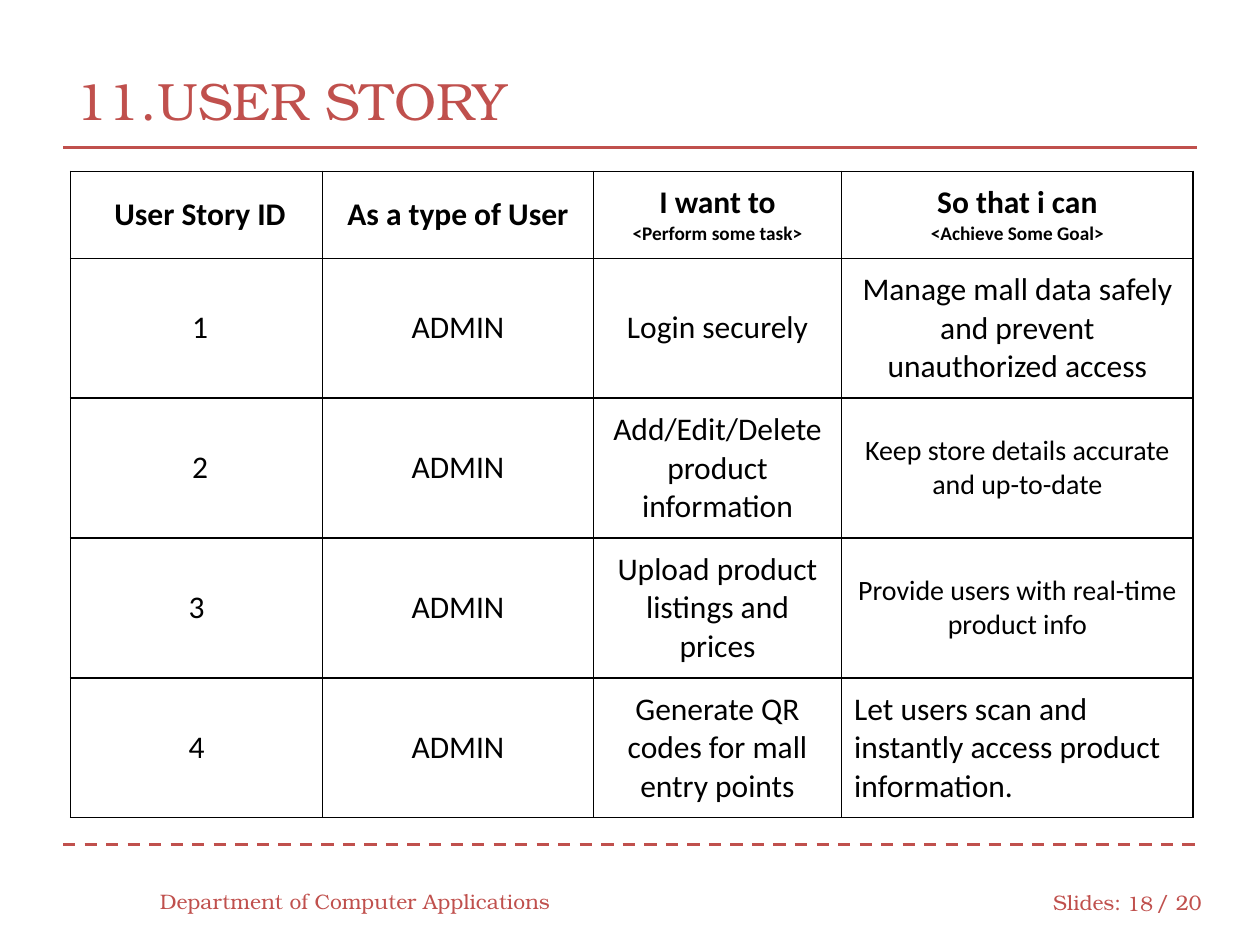
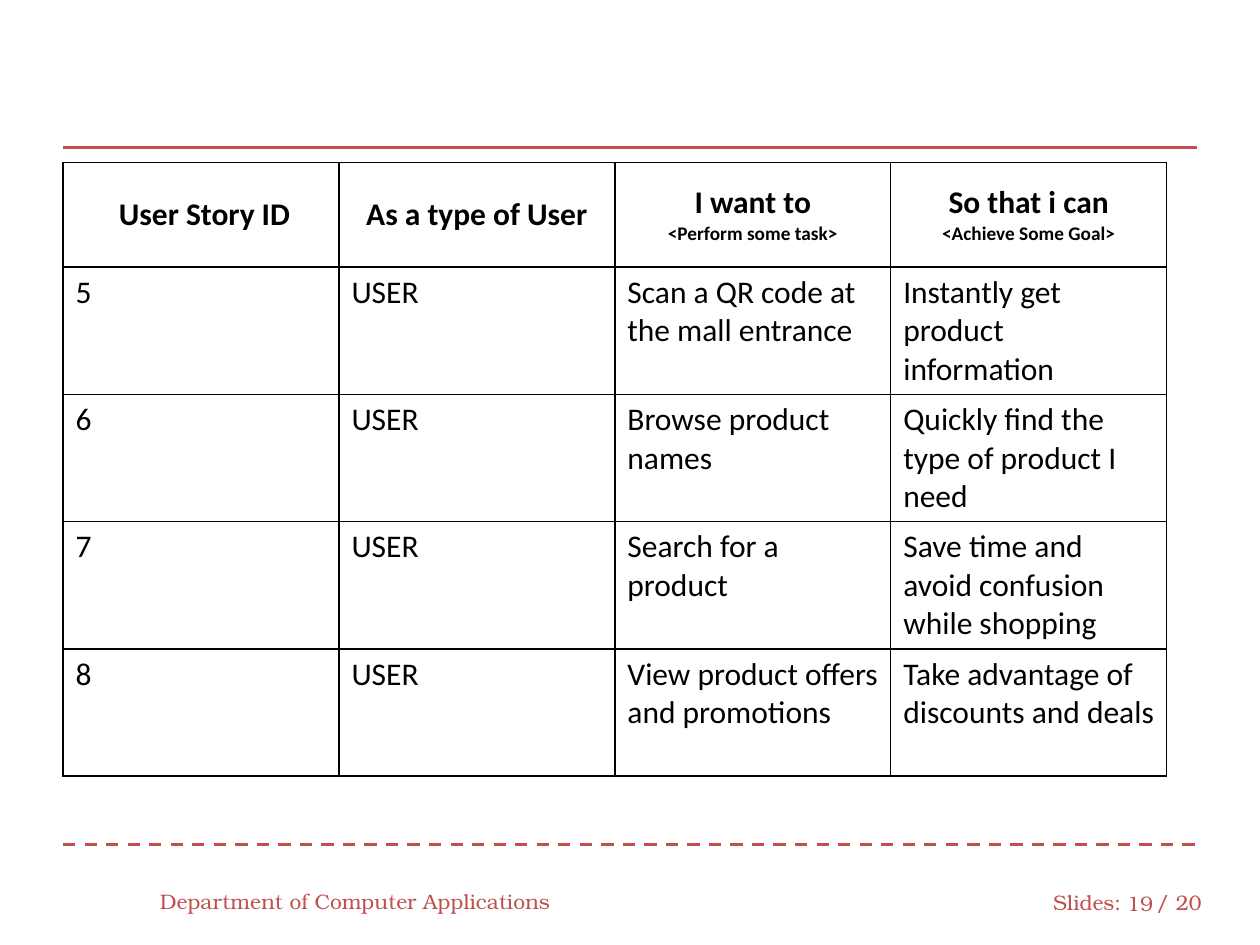
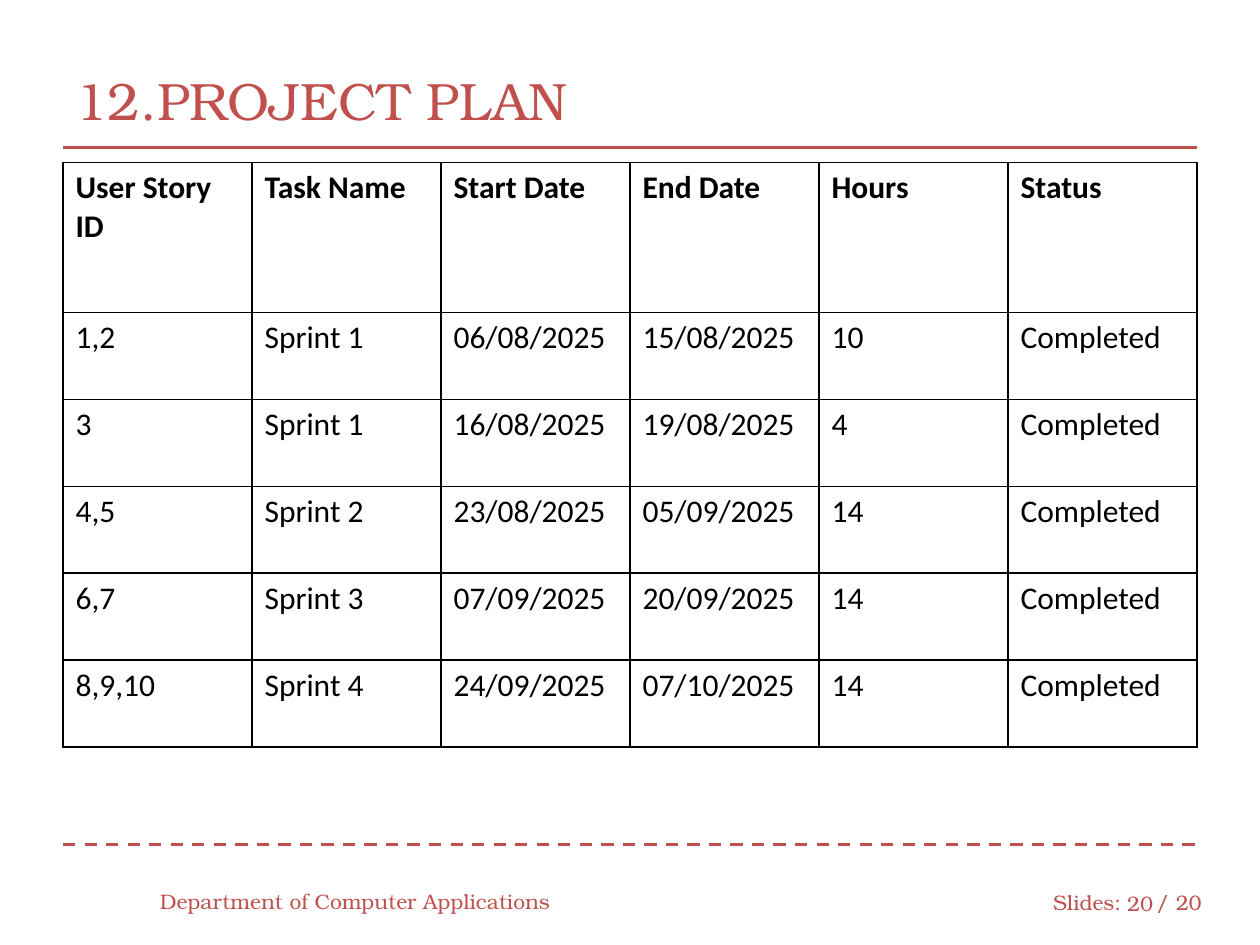
import dataclasses

import pptx
import pptx.dml.color
import pptx.enum.dml
import pptx.enum.shapes
import pptx.enum.text
import pptx.oxml
import pptx.oxml.ns
import pptx.util

Inches = pptx.util.Inches
Pt = pptx.util.Pt
Align = pptx.enum.text.PP_ALIGN
Anchor = pptx.enum.text.MSO_ANCHOR


@dataclasses.dataclass(frozen=True)
class Theme:
    accent: str = "C0504D"
    ink: str = "000000"
    paper: str = "FFFFFF"
    heading_font: str = "TeX Gyre Bonum"
    body_font: str = "Calibri"
    title_size: int = 30
    footer_size: int = 12
    body_size: int = 18
    goal_size: int = 16
    hint_size: int = 11
    rule_width: float = 1.75
    border_width: float = 1


THEME = Theme()


@dataclasses.dataclass(frozen=True)
class Cell:
    text: str
    size: int = THEME.body_size
    align: Align = Align.CENTER


SLIDE_TOTAL = 20
DEPARTMENT = "Department of Computer Applications"

STORY_HEAD = [" User Story ID", "As a type of User",
              "I want to\n<Perform some task>", "So that i can\n<Achieve Some Goal>"]
ADMIN_STORIES = [
    STORY_HEAD,
    [" 1", "ADMIN", "Login securely",
     "Manage mall data safely and prevent unauthorized access"],
    [" 2", "ADMIN", "Add/Edit/Delete product information",
     Cell("Keep store details accurate and up-to-date", THEME.goal_size)],
    ["3", "ADMIN", "Upload product listings and prices",
     Cell("Provide users with real-time product info", THEME.goal_size)],
    ["4", "ADMIN", "Generate QR codes for mall entry points",
     Cell("Let users scan and instantly access product information.", align=Align.LEFT)],
]
USER_STORIES = [
    STORY_HEAD,
    ["5", "USER", "Scan a QR code at the mall entrance", "Instantly get product information"],
    ["6", "USER", "Browse product names", "Quickly find the type of product I need"],
    ["7", "USER", "Search for a product", "Save time and avoid confusion while shopping"],
    ["8", "USER", "View product offers and promotions", "Take advantage of discounts and deals"],
]
PLAN = [
    ["User Story ID", "Task Name", "Start Date", "End Date", "Hours", "Status"],
    ["1,2", "Sprint 1", "06/08/2025", "15/08/2025", "10", "Completed"],
    ["3", "Sprint 1", "16/08/2025", "19/08/2025", "4", "Completed"],
    ["4,5", "Sprint 2", "23/08/2025", "05/09/2025", "14", "Completed"],
    ["6,7", "Sprint 3", "07/09/2025", "20/09/2025", "14", "Completed"],
    ["8,9,10", "Sprint 4", "24/09/2025", "07/10/2025", "14", "Completed"],
]


def rgb(value):
    return pptx.dml.color.RGBColor.from_string(value)


def style(font, name, size, color, bold=False):
    font.name, font.size, font.bold = name, Pt(size), bold
    font.color.rgb = rgb(color)


def add_label(slide, box, text, size=THEME.footer_size, align=Align.LEFT):
    """Accent-coloured heading text, centred vertically in its box."""
    tf = slide.shapes.add_textbox(*map(Inches, box)).text_frame
    tf.word_wrap = True
    tf.vertical_anchor = Anchor.MIDDLE
    p = tf.paragraphs[0]
    p.text, p.alignment = text, align
    style(p.font, THEME.heading_font, size, THEME.accent)


def add_rule(slide, left, top, width, dash=None):
    x, y = Inches(left), Inches(top)
    line = slide.shapes.add_connector(
        pptx.enum.shapes.MSO_CONNECTOR.STRAIGHT, x, y, x + Inches(width), y)
    line.line.color.rgb = rgb(THEME.accent)
    line.line.width = Pt(THEME.rule_width)
    if dash:
        line.line.dash_style = dash
    sp_pr = line._element.spPr
    sp_pr.append(sp_pr.makeelement(pptx.oxml.ns.qn("a:effectLst"), {}))


def add_footer(slide, left, top, width, number):
    add_rule(slide, left, top, width, pptx.enum.dml.MSO_LINE.DASH)
    text_top = top + 0.26
    add_label(slide, (left + 0.67, text_top - 0.01, 3.33, 0.4), DEPARTMENT)
    add_label(slide, (left + 7.76, text_top, 0.75, 0.4), "Slides:")
    add_label(slide, (left + 8.33, text_top + 0.01, 0.42, 0.4), str(number), align=Align.RIGHT)
    add_label(slide, (left + 8.58, text_top, 0.58, 0.4), f"/ {SLIDE_TOTAL}")


def add_frame(prs, number, title=None):
    """New slide with the shared title, rules and footer."""
    slide = prs.slides.add_slide(prs.slide_layouts[6])
    left, width = 0.5, 9
    if title:
        add_label(slide, (left, 0.33, width, 0.92), title, THEME.title_size)
    add_rule(slide, left, 1.17, width)
    add_footer(slide, left, 6.7, width, number)
    return slide


def set_borders(cell):
    tc_pr = cell._tc.get_or_add_tcPr()
    for i, side in enumerate(("lnL", "lnR", "lnT", "lnB")):
        tc_pr.insert(i, pptx.oxml.parse_xml(
            f'<a:{side} {pptx.oxml.ns.nsdecls("a")} w="{Pt(THEME.border_width)}">'
            f'<a:solidFill><a:srgbClr val="{THEME.ink}"/></a:solidFill></a:{side}>'))


def fill_cell(cell, content, bold, centred):
    if isinstance(content, str):
        content = Cell(content, align=Align.CENTER if centred else Align.LEFT)
    cell.fill.solid()
    cell.fill.fore_color.rgb = rgb(THEME.paper)
    set_borders(cell)
    if centred:
        cell.vertical_anchor = Anchor.MIDDLE
        cell.margin_top = cell.margin_bottom = Inches(0.1)
    cell.margin_left = cell.margin_right = Inches(0.1)
    # A second line in a heading is a small hint
    cell.text_frame.text = content.text
    for i, p in enumerate(cell.text_frame.paragraphs):
        p.alignment = content.align
        size = THEME.hint_size if i else content.size
        style(p.font, THEME.body_font, size, THEME.ink, bold)


def add_grid(slide, left, top, col_widths, head_height, row_height, rows, centred_rows=0):
    """Bordered table with a bold first row; the first centred_rows are centred."""
    heights = [head_height] + [row_height] * (len(rows) - 1)
    box = (left, top, sum(col_widths), sum(heights))
    table = slide.shapes.add_table(
        len(rows), len(col_widths), *map(Inches, box)).table
    table.first_row = table.horz_banding = False
    for column, width in zip(table.columns, col_widths):
        column.width = Inches(width)
    for r, (row, height) in enumerate(zip(rows, heights)):
        table.rows[r].height = Inches(height)
        for c, content in enumerate(row):
            fill_cell(table.cell(r, c), content, r == 0, r < centred_rows)


def main():
    prs = pptx.Presentation()
    prs.slide_width, prs.slide_height = Inches(10), Inches(7.5)

    # Administrator stories
    slide = add_frame(prs, 18, "11.USER STORY")
    add_grid(slide, 0.56, 1.36, [2, 2.15, 1.97, 2.79], 0.69, 1.11, ADMIN_STORIES,
             centred_rows=len(ADMIN_STORIES))

    # Shopper stories
    slide = add_frame(prs, 19)
    add_grid(slide, 0.5, 1.29, [2.19] * 4, 0.83, 1.01, USER_STORIES, centred_rows=1)

    # Sprint schedule
    slide = add_frame(prs, 20, "12.PROJECT PLAN")
    add_grid(slide, 0.5, 1.29, [1.5] * 6, 1.19, 0.69, PLAN)

    prs.save("out.pptx")


if __name__ == "__main__":
    main()
